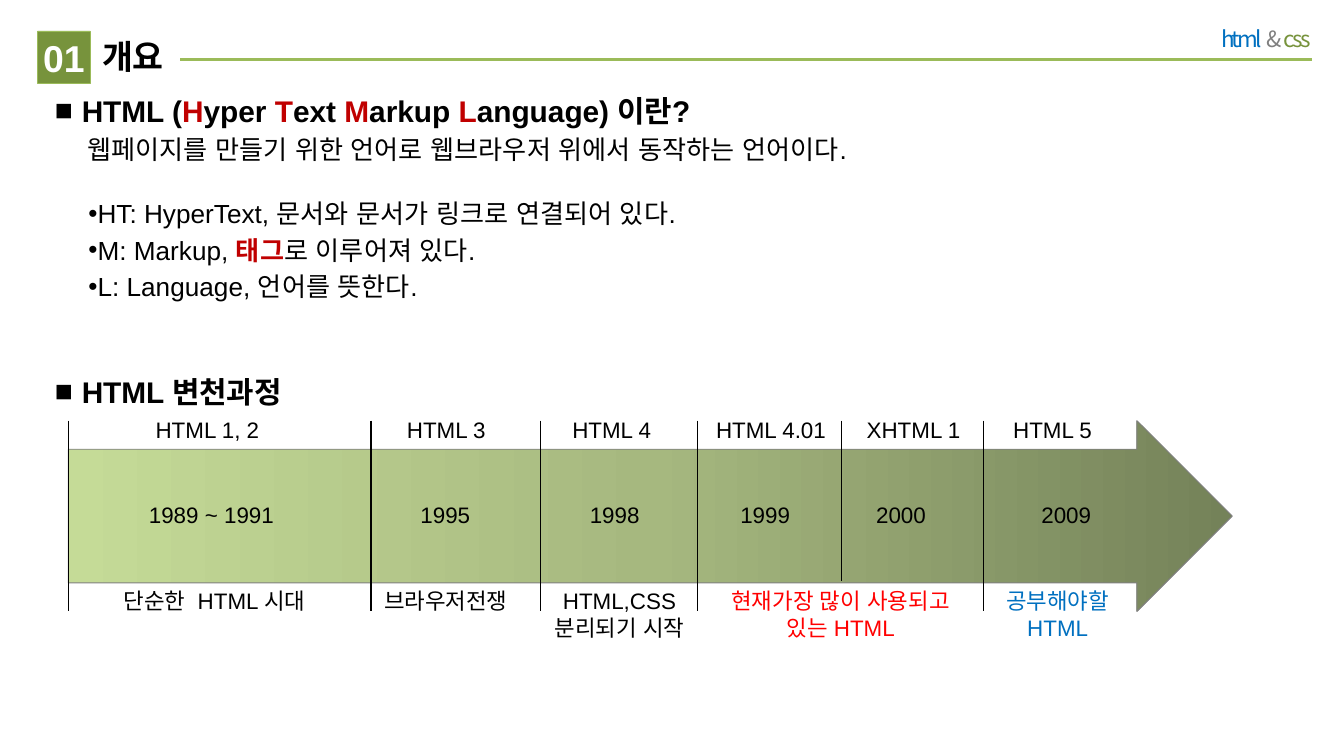
from copy import deepcopy
from lxml import etree
from pptx import Presentation
from pptx.dml.color import RGBColor
from pptx.enum.shapes import MSO_CONNECTOR, MSO_SHAPE
from pptx.enum.text import MSO_ANCHOR, PP_ALIGN
from pptx.oxml.ns import qn
from pptx.util import Inches, Pt

LEFT, CENTER, RIGHT = PP_ALIGN.LEFT, PP_ALIGN.CENTER, PP_ALIGN.RIGHT
TOP, MIDDLE = MSO_ANCHOR.TOP, MSO_ANCHOR.MIDDLE
STRAIGHT = MSO_CONNECTOR.STRAIGHT
RECTANGLE, ARROW = MSO_SHAPE.RECTANGLE, MSO_SHAPE.RIGHT_ARROW

BLACK, WHITE, RED, BLUE = "000000", "FFFFFF", "C00000", "0070C0"
GREEN, LIME, GRAY, BRIGHT_RED = "77933C", "9BBB59", "808080", "FF0000"
GRADIENT = [(0, "748259"), (0.5, "A6B87F"), (1, "C5DB97")]

BRAND = [("html  ", BLUE), ("& ", GRAY), ("css", GREEN)]
DEFINITION = [("HTML (", BLACK), ("H", RED), ("yper ", BLACK), ("T", RED),
              ("ext ", BLACK), ("M", RED), ("arkup ", BLACK), ("L", RED),
              ("anguage) 이란?", BLACK)]
SUMMARY = "웹페이지를 만들기 위한 언어로 웹브라우저 위에서 동작하는 언어이다."
LETTERS = [
    "HT: HyperText, 문서와 문서가 링크로 연결되어 있다.",
    [("M: Markup, ", BLACK), ("태그", RED, True), ("로 이루어져 있다.", BLACK)],
    "L: Language, 언어를 뜻한다.",
]
HISTORY = "HTML 변천과정"

ARROW_LEFT, ARROW_TOP, ARROW_WIDTH, ARROW_HEIGHT = 0.51, 3.13, 8.66, 1.42
DIVIDERS = [(0.51, 1.42), (2.76, 1.42), (4.02, 1.42),
            (5.19, 1.42), (6.26, 1.19), (7.32, 1.42)]
VERSION_TOP, YEAR_TOP, NOTE_TOP = 3.05, 3.68, 4.32
VERSIONS = [("HTML 1, 2", 1.06, 1.2), ("HTML 3", 2.93, 1), ("HTML 4", 4.16, 0.91),
            ("HTML 4.01", 5.23, 1.1), ("XHTML 1", 6.35, 1.02), ("HTML 5", 7.44, 1.02)]
YEARS = [("1989 ~ 1991", 1.01, 1.2), ("1995", 3.03, 0.71), ("1998", 4.29, 0.71),
         ("1999", 5.41, 0.71), ("2000", 6.42, 0.71), ("2009", 7.65, 0.71)]
NOTES = [("단순한  HTML 시대", 0.82, 1.85, LEFT, BLACK),
         ("브라우저전쟁", 2.76, 1.26, LEFT, BLACK),
         ("HTML,CSS\n분리되기 시작", 3.98, 1.26, CENTER, BLACK),
         ("현재가장 많이 사용되고 있는 HTML", 5.19, 2.13, CENTER, BRIGHT_RED),
         ("공부해야할\nHTML", 7.24, 1.26, CENTER, BLUE)]

presentation = Presentation()
presentation.slide_width = Inches(10)
presentation.slide_height = presentation.slide_width * 9 // 16
slide = presentation.slides.add_slide(presentation.slide_layouts[6])


def rgb(value):
    return RGBColor.from_string(value)


def add_line(x1, y1, x2, y2, color=BLACK, width=0.75):
    line = slide.shapes.add_connector(
        STRAIGHT, Inches(x1), Inches(y1), Inches(x2), Inches(y2))
    line.line.color.rgb = rgb(color)
    line.line.width = Pt(width)
    etree.SubElement(line._element.spPr, qn("a:effectLst"))


def add_box(left, top, width, height, kind=None, fill=None, outline=None, weight=0.25,
            insets=(0.1, 0.05, 0.1, 0.05), anchor=TOP):
    area = [Inches(length) for length in (left, top, width, height)]
    if kind is None:
        shape = slide.shapes.add_textbox(*area)
    else:
        shape = slide.shapes.add_shape(kind, *area)
        shape.shadow.inherit = False
        if fill:
            shape.fill.solid()
            shape.fill.fore_color.rgb = rgb(fill)
        if outline:
            shape.line.color.rgb = rgb(outline)
            shape.line.width = Pt(weight)
        else:
            shape.line.fill.background()
    frame = shape.text_frame
    frame.word_wrap = True
    frame.vertical_anchor = anchor
    (frame.margin_left, frame.margin_top,
     frame.margin_right, frame.margin_bottom) = [Inches(inset) for inset in insets]
    return shape


def write(shape, content, size=12, color=BLACK, bold=False, align=LEFT, font="Arial",
          spacing=None, before=0, margin=0, indent=0, bullet=None, new=False):
    frame = shape.text_frame
    paragraph = frame.add_paragraph() if new else frame.paragraphs[0]
    paragraph.alignment = align
    paragraph.space_before = Pt(before)
    properties = paragraph._p.get_or_add_pPr()
    properties.set("marL", str(Inches(margin)))
    properties.set("indent", str(Inches(indent)))
    if bullet:
        etree.SubElement(properties, qn("a:buFont")).set("typeface", "Arial")
        etree.SubElement(properties, qn("a:buChar")).set("char", bullet)
    runs = [(content, color)] if isinstance(content, str) else content
    for text, run_color, *strong in runs:
        for number, line in enumerate(text.split("\n")):
            if number:
                paragraph.add_line_break()
            run = paragraph.add_run()
            run.text = line
            run.font.size = Pt(size)
            run.font.bold = strong[0] if strong else bold
            run.font.name = font
            run.font.color.rgb = rgb(run_color)
            run_properties = run._r.get_or_add_rPr()
            etree.SubElement(run_properties, qn("a:ea")).set("typeface", font)
            if spacing is not None:
                run_properties.set("spc", str(int(spacing * 100)))


def add_timeline_arrow():
    arrow = add_box(ARROW_LEFT, ARROW_TOP, ARROW_WIDTH, ARROW_HEIGHT,
                    kind=ARROW, outline=GRAY, weight=0.5)
    arrow.adjustments[0], arrow.adjustments[1] = 0.7, 0.5
    arrow.fill.gradient()
    arrow.fill.gradient_angle = 180
    stop_list = arrow._element.spPr.find(qn("a:gradFill")).find(qn("a:gsLst"))
    stop_list.insert(1, deepcopy(stop_list[0]))
    for stop, (position, color) in zip(arrow.fill.gradient_stops, GRADIENT):
        stop.position = position
        stop.color.rgb = rgb(color)


add_line(0.71, 0.44, 9.76, 0.44, color=LIME, width=1.5)
brand = add_box(8.31, 0.11, 1.54, 0.36, insets=(0.1, 0.08, 0.1, 0.08))
write(brand, BRAND, align=RIGHT, font="Noto Sans CJK KR", spacing=-1.5)
title = add_box(0.68, 0.23, 0.66, 0.39, kind=RECTANGLE, fill=WHITE,
                insets=(0.08, 0.04, 0, 0.04))
write(title, "개요", size=18, bold=True)
badge = add_box(0.28, 0.23, 0.39, 0.39, kind=RECTANGLE, fill=GREEN, outline=LIME,
                insets=(0, 0, 0, 0), anchor=MIDDLE)
write(badge, "01", size=20, color=WHITE, bold=True, align=CENTER)

heading = dict(size=16, bold=True, before=3.2, margin=0.2, indent=-0.2, bullet="■")
overview = add_box(0.31, 0.64, 8.62, 1.74)
write(overview, DEFINITION, **heading)
write(overview, SUMMARY, size=14, before=2.8, margin=0.24, new=True)
for number, letter in enumerate(LETTERS):
    write(overview, letter, size=14, before=2.8 if number else 17.3,
          margin=0.29, indent=-0.04, bullet="•", new=True)
write(add_box(0.31, 2.73, 8.62, 0.39), HISTORY, **heading)

add_timeline_arrow()
for x, length in DIVIDERS:
    add_line(x, ARROW_TOP, x, ARROW_TOP + length)
for top, labels in ((VERSION_TOP, VERSIONS), (YEAR_TOP, YEARS)):
    for text, left, width in labels:
        write(add_box(left, top, width, 0.3), text)
for text, left, width, align, color in NOTES:
    height = 0.51 if align == CENTER else 0.3
    write(add_box(left, NOTE_TOP, width, height), text, align=align, color=color)

presentation.save("out.pptx")
